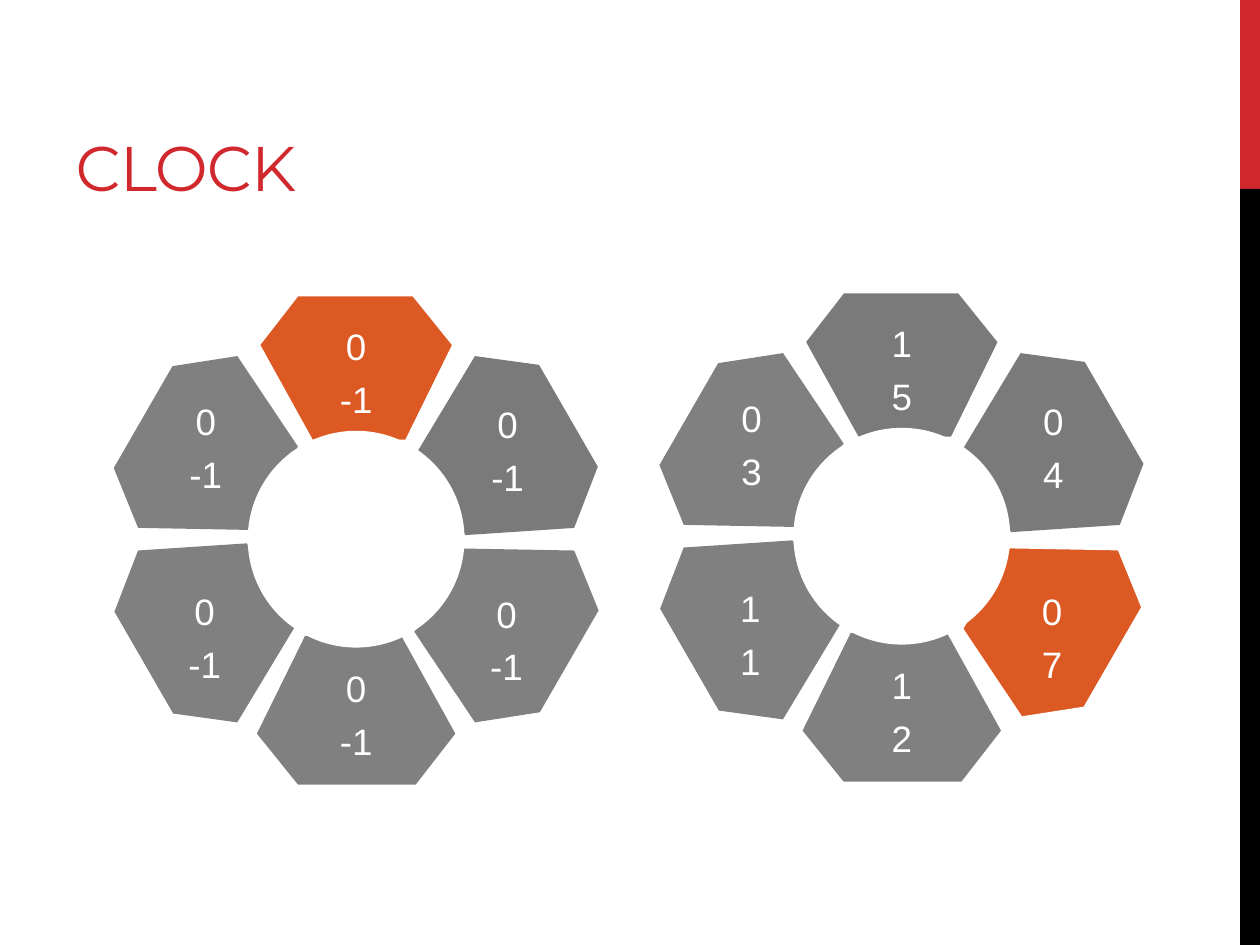
"""Build the Clock slide: two rings of six sectors, each one outline turned in steps of 60 degrees."""
import math

import pptx
import pptx.dml.color
import pptx.enum.shapes
import pptx.enum.text
import pptx.util

Cm = pptx.util.Cm
Pt = pptx.util.Pt
Shapes = pptx.enum.shapes.MSO_SHAPE
Align = pptx.enum.text.PP_ALIGN
Anchor = pptx.enum.text.MSO_ANCHOR

THEME = {
    "red": "D1282E",
    "black": "000000",
    "white": "FFFFFF",
    "orange": "DC5924",
    "dark": "7A7A7A",
    "gray": "808080",
    "title_font": "Montserrat",
    "title_size": Pt(36),
    "title_spacing": "-60",
    "value_font": "Arial",
    "value_size": Pt(21),
    "sector_line": Pt(3.25),
}


def color(name):
    return pptx.dml.color.RGBColor.from_string(THEME[name])


def apply(target, values):
    for name, value in values.items():
        setattr(target, name, value)


presentation = pptx.Presentation()
apply(presentation, {"slide_width": Cm(25.4), "slide_height": Cm(19.05)})
slide = presentation.slides.add_slide(presentation.slide_layouts[5])

for top, height, fill in [(0, 3.81, "red"), (3.81, 15.24, "black")]:
    bar = slide.shapes.add_shape(Shapes.RECTANGLE, Cm(25), Cm(top), Cm(0.4), Cm(height))
    bar.fill.solid()
    bar.fill.fore_color.rgb = color(fill)
    bar.line.fill.background()
    bar.shadow.inherit = False

title = slide.shapes.title
apply(title, {"left": Cm(1.27), "top": Cm(0.43), "width": Cm(16.08), "height": Cm(3.81)})
apply(title.text_frame, {
    "text": "CLOCK",
    "vertical_anchor": Anchor.BOTTOM,
    "auto_size": pptx.enum.text.MSO_AUTO_SIZE.NONE,
})
paragraph = title.text_frame.paragraphs[0]
paragraph.alignment = Align.LEFT
run = paragraph.runs[0]
apply(run.font, {"name": THEME["title_font"], "size": THEME["title_size"]})
run.font.color.rgb = color("red")
run.font._element.set("spc", THEME["title_spacing"])

sector_outline = [(-1.2, -4.95), (1.17, -4.95), (2, -3.92), (1.03, -1.95), (-0.91, -1.95), (-2, -3.92)]
hub_size = 4.37
sector_frame = {
    "margin_left": 0,
    "margin_right": 0,
    "margin_top": 0,
    "margin_bottom": 0,
    "word_wrap": True,
    "vertical_anchor": Anchor.MIDDLE,
}
rings = [
    (7.18, 10.87, [
        ("0\n-1", "orange", True),
        ("0\n-1", "dark", False),
        ("0\n-1", "gray", False),
        ("0\n-1", "gray", False),
        ("0\n-1", "gray", False),
        ("0\n-1", "gray", False),
    ]),
    (18.18, 10.81, [
        ("1\n5", "dark", True),
        ("0\n4", "dark", False),
        ("0\n7", "orange", True),
        ("1\n2", "gray", False),
        ("1\n1", "gray", False),
        ("0\n3", "gray", False),
    ]),
]

for center_x, center_y, sectors in rings:
    ring = slide.shapes.add_group_shape()
    for position, (text, fill, outlined) in enumerate(sectors):
        angle = math.radians(60 * position)
        points = [
            (
                Cm(center_x + x * math.cos(angle) - y * math.sin(angle)),
                Cm(center_y + x * math.sin(angle) + y * math.cos(angle)),
            )
            for x, y in sector_outline
        ]
        builder = ring.shapes.build_freeform(*points[0])
        builder.add_line_segments(points[1:], close=True)
        sector = builder.convert_to_shape()
        sector.shadow.inherit = False
        sector.fill.solid()
        sector.fill.fore_color.rgb = color(fill)
        if outlined:
            sector.line.color.rgb = color("white")
            sector.line.width = THEME["sector_line"]
        else:
            sector.line.fill.background()
        apply(sector.text_frame, sector_frame)
        sector.text_frame.text = text
        for paragraph in sector.text_frame.paragraphs:
            apply(paragraph, {"alignment": Align.CENTER, "line_spacing": 1.2})
            font = paragraph.runs[0].font
            apply(font, {"name": THEME["value_font"], "size": THEME["value_size"]})
            font.color.rgb = color("white")

    hub = ring.shapes.add_shape(
        Shapes.OVAL, Cm(center_x - hub_size / 2), Cm(center_y - hub_size / 2), Cm(hub_size), Cm(hub_size)
    )
    hub.fill.solid()
    hub.fill.fore_color.rgb = color("white")
    hub.line.fill.background()
    hub.shadow.inherit = False

presentation.save("out.pptx")
